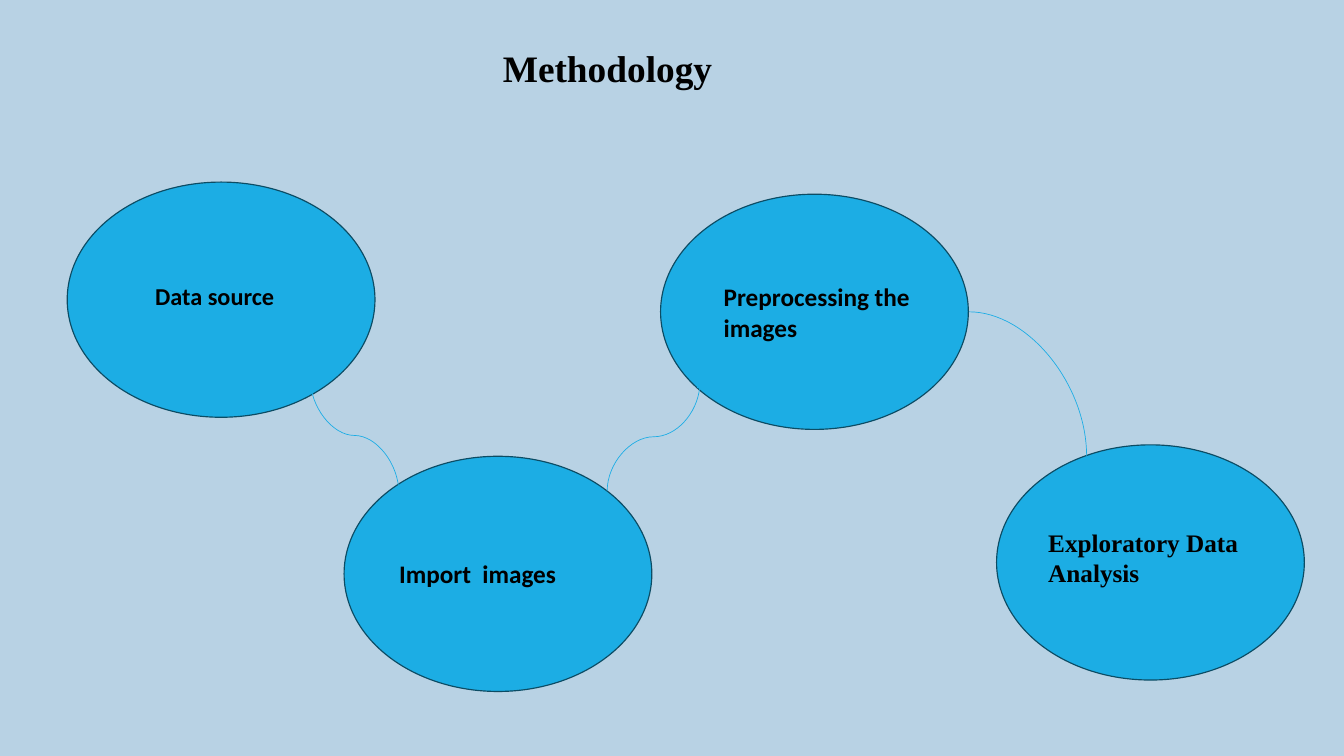
from lxml import etree
from pptx import Presentation
from pptx.dml.color import RGBColor
from pptx.enum.shapes import MSO_CONNECTOR, MSO_SHAPE
from pptx.enum.text import MSO_ANCHOR, PP_ALIGN
from pptx.oxml.ns import qn
from pptx.util import Inches, Pt

BACKGROUND = RGBColor(0xB8, 0xD2, 0xE4)
BLUE = RGBColor(0x1C, 0xAD, 0xE4)
OUTLINE = RGBColor(0x0C, 0x4C, 0x64)
BLACK = RGBColor(0, 0, 0)
STEP_WIDTH, STEP_HEIGHT = 4.58, 3.5


def write(frame, text, size, font_name, align):
    frame.word_wrap = True
    frame.vertical_anchor = MSO_ANCHOR.TOP
    paragraph = frame.paragraphs[0]
    paragraph.alignment = align
    run = paragraph.add_run()
    run.text = text
    run.font.size = Pt(size)
    run.font.name = font_name
    run.font.bold = True
    run.font.color.rgb = BLACK


prs = Presentation()
prs.slide_width = Inches(20)
prs.slide_height = Inches(11.25)
slide = prs.slides.add_slide(prs.slide_layouts[5])
slide.background.fill.solid()
slide.background.fill.fore_color.rgb = BACKGROUND

title = slide.shapes.title
title.left, title.top = Inches(1), Inches(0.62)
title.width, title.height = Inches(16.08), Inches(0.77)
write(title.text_frame, "Methodology", 40, "Times New Roman", PP_ALIGN.CENTER)

steps = [
    ((1, 2.71), "Data source", (2.21, 4.14, 2.92, 0.54), 26, "Calibri"),
    ((5.12, 6.79), "Import  images", (5.84, 8.26, 3.58, 0.56), 27, "Calibri"),
    ((9.83, 2.89), "Preprocessing the images", (10.67, 4.14, 3.75, 1.01), 27, "Calibri"),
    ((14.83, 6.62), "Exploratory Data Analysis", (15.5, 7.79, 3.08, 1.01), 27, "Times New Roman"),
]
for (left, top), text, label_box, size, font_name in steps:
    step = slide.shapes.add_shape(
        MSO_SHAPE.OVAL, Inches(left), Inches(top), Inches(STEP_WIDTH), Inches(STEP_HEIGHT))
    step.shadow.inherit = False
    step.fill.solid()
    step.fill.fore_color.rgb = BLUE
    step.line.color.rgb = OUTLINE
    step.line.width = Pt(1.25)
    label = slide.shapes.add_textbox(*[Inches(value) for value in label_box])
    write(label.text_frame, text, size, font_name, PP_ALIGN.LEFT)

links = [
    ((4.42, 5.82, 1.71, 1.32), 270, ["flipH"], "curvedConnector3", None),
    ((8.92, 5.81, 1.61, 1.38), 90, ["flipH", "flipV"], "curvedConnector3", "triangle"),
    ((14.42, 4.64, 1.75, 2.15), 0, [], "curvedConnector2", None),
]
for (left, top, width, height), angle, flips, preset, arrowhead in links:
    link = slide.shapes.add_connector(
        MSO_CONNECTOR.CURVE, Inches(left), Inches(top),
        Inches(left + width), Inches(top + height))
    link.line.color.rgb = BLUE
    link.line.width = Pt(0.75)
    properties = link._element.spPr
    transform = properties.find(qn("a:xfrm"))
    transform.set("rot", str(angle * 60000))
    for flip in flips:
        transform.set(flip, "1")
    properties.find(qn("a:prstGeom")).set("prst", preset)
    if arrowhead:
        etree.SubElement(properties.find(qn("a:ln")), qn("a:tailEnd")).set("type", arrowhead)
    etree.SubElement(properties, qn("a:effectLst"))

prs.save("out.pptx")
